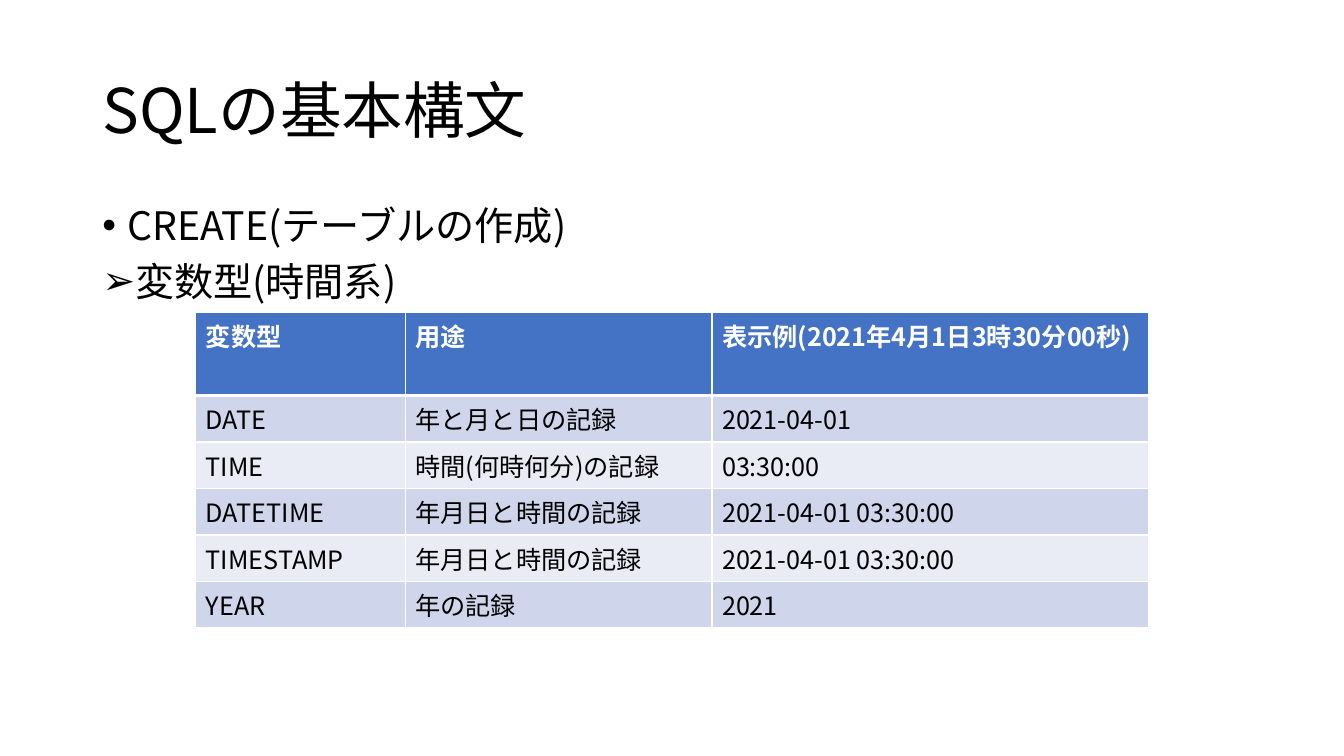
import pptx
import pptx.util
import pptx.dml.color
import pptx.enum.text
import pptx.oxml.ns
from lxml import etree

Pt = pptx.util.Pt
RGBColor = pptx.dml.color.RGBColor
ANCHOR = pptx.enum.text.MSO_ANCHOR
qn = pptx.oxml.ns.qn

FONT = "Noto Sans CJK JP"
BLACK = RGBColor(0x00, 0x00, 0x00)
WHITE = RGBColor(0xFF, 0xFF, 0xFF)
BLUE = RGBColor(0x44, 0x72, 0xC4)
BANDS = [RGBColor(0xCF, 0xD5, 0xEA), RGBColor(0xE9, 0xEB, 0xF5)]

BULLETS = [("•", "CREATE(テーブルの作成)"),
           ("➢", "変数型(時間系)")]
COLS = [149.6, 219.1, 311.7]
ROWS = [
    ("変数型", "用途", "表示例(2021年4月1日3時30分00秒)"),
    ("DATE", "年と月と日の記録", "2021-04-01"),
    ("TIME", "時間(何時何分)の記録", "03:30:00"),
    ("DATETIME", "年月日と時間の記録", "2021-04-01 03:30:00"),
    ("TIMESTAMP", "年月日と時間の記録", "2021-04-01 03:30:00"),
    ("YEAR", "年の記録", "2021"),
]


def write(para, text, size=18, color=BLACK, bold=False, line=None, before=0):
    para.alignment = pptx.enum.text.PP_ALIGN.LEFT
    para.space_before = Pt(before)
    if line:
        para.line_spacing = line
    run = para.add_run()
    run.text = text
    font = run.font
    font.name, font.size, font.bold = FONT, Pt(size), bold
    font.color.rgb = color
    # East Asian glyphs take their own typeface entry
    font._element.find(qn("a:latin")).addnext(
        etree.Element(qn("a:ea"), typeface=FONT))


def bullet(para, mark):
    props = para._p.get_or_add_pPr()
    props.set("marL", str(Pt(18)))
    props.set("indent", str(Pt(-18)))
    etree.SubElement(props, qn("a:buFont"), typeface="Arial")
    etree.SubElement(props, qn("a:buChar"), char=mark)


def title(slide, text):
    shape = slide.shapes.title
    shape.left, shape.top, shape.width, shape.height = (
        Pt(66), Pt(28.75), Pt(828), Pt(104.4))
    frame = shape.text_frame
    frame.auto_size = pptx.enum.text.MSO_AUTO_SIZE.NONE
    frame.vertical_anchor = ANCHOR.MIDDLE
    write(frame.paragraphs[0], text, size=44, line=0.9)


def body(slide, items):
    frame = slide.shapes.add_textbox(
        Pt(66), Pt(143.75), Pt(828), Pt(342.6)).text_frame
    frame.word_wrap = True
    for i, (mark, text) in enumerate(items):
        para = frame.add_paragraph() if i else frame.paragraphs[0]
        bullet(para, mark)
        write(para, text, size=28, line=0.9, before=10 if i else 0)


def border(side, width):
    line = etree.Element(qn("a:" + side), w=str(Pt(width)))
    fill = etree.SubElement(line, qn("a:solidFill"))
    etree.SubElement(fill, qn("a:srgbClr"), val=str(WHITE))
    return line


def table(slide, rows):
    # The header holds two lines of text, each other row one
    heights = [59.4] + [33.2] * (len(rows) - 1)
    grid = slide.shapes.add_table(
        len(rows), len(COLS), Pt(139.9), Pt(223.2),
        Pt(sum(COLS)), Pt(sum(heights))).table
    for col, width in zip(grid.columns, COLS):
        col.width = Pt(width)
    for r, row in enumerate(rows):
        grid.rows[r].height = Pt(heights[r])
        head = r == 0
        for c, text in enumerate(row):
            cell = grid.cell(r, c)
            write(cell.text_frame.paragraphs[0], text,
                  color=WHITE if head else BLACK, bold=head)
            cell.fill.solid()
            cell.fill.fore_color.rgb = BLUE if head else BANDS[(r - 1) % 2]
            # A thick rule parts the header from the rows
            widths = {"lnL": 1, "lnR": 1, "lnT": 3 if r == 1 else 1,
                      "lnB": 3 if head else 1}
            props = cell._tc.get_or_add_tcPr()
            for i, (side, width) in enumerate(widths.items()):
                props.insert(i, border(side, width))


def main():
    deck = pptx.Presentation()
    deck.slide_width, deck.slide_height = Pt(960), Pt(540)
    slide = deck.slides.add_slide(deck.slide_layouts[5])
    title(slide, "SQLの基本構文")
    body(slide, BULLETS)
    table(slide, ROWS)
    deck.save("out.pptx")


if __name__ == "__main__":
    main()
